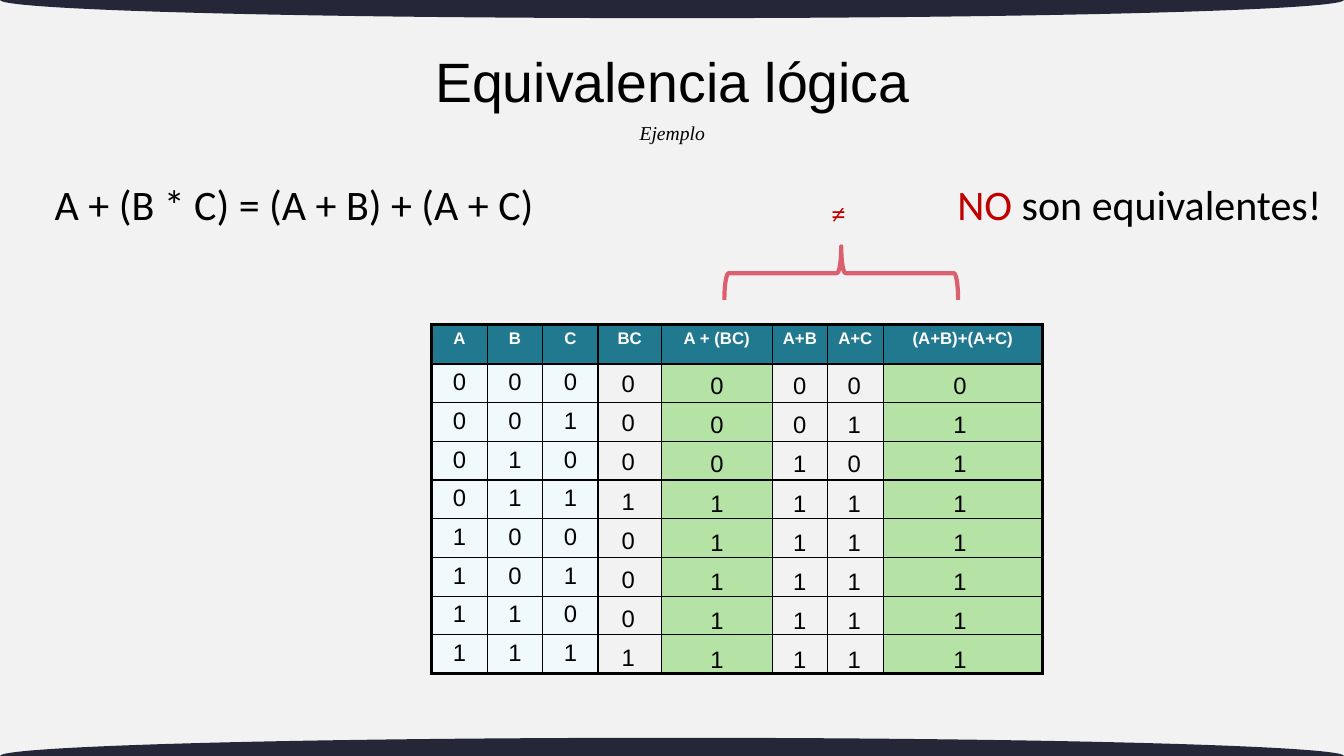
"""Build the slide on logical equivalence with its truth table."""
import itertools
from dataclasses import dataclass

import lxml.etree
import pptx
import pptx.dml.color
import pptx.enum.shapes
import pptx.enum.text
import pptx.oxml.ns
import pptx.util

Pt = pptx.util.Pt
ALIGN = pptx.enum.text.PP_ALIGN
ANCHOR = pptx.enum.text.MSO_ANCHOR
SHAPE = pptx.enum.shapes.MSO_SHAPE
qn = pptx.oxml.ns.qn


@dataclass
class Theme:
    paper: str = "F2F2F2"
    band: str = "252738"
    ink: str = "000000"
    white: str = "FFFFFF"
    header: str = "21798F"
    inputs: str = "F0FAFC"
    result: str = "B5E3A5"
    brace: str = "DC5F6F"
    alert: str = "C00000"
    sans: str = "Arial"
    body: str = "Calibri"
    serif: str = "Times New Roman"
    title: float = 39.6
    formula: float = 30
    symbol: float = 18
    digit: float = 17
    subtitle: float = 14
    label: float = 12
    thin: float = 1
    thick: float = 2.25


def rgb(color):
    return pptx.dml.color.RGBColor.from_string(color)


class Deck:
    def __init__(self, theme):
        self.theme = theme
        self.prs = pptx.Presentation()
        self.prs.slide_width, self.prs.slide_height = Pt(960), Pt(540)
        self.s = self.prs.slides.add_slide(self.prs.slide_layouts[6])
        fill = self.s.background.fill
        fill.solid()
        fill.fore_color.rgb = rgb(theme.paper)

    def shape(self, kind, box, fill=None, line=None, width=0, rotation=0):
        sp = self.s.shapes.add_shape(kind, *map(Pt, box))
        sp.shadow.inherit = False
        sp.rotation = rotation
        if fill:
            sp.fill.solid()
            sp.fill.fore_color.rgb = rgb(fill)
        else:
            sp.fill.background()
        if line:
            sp.line.color.rgb = rgb(line)
            sp.line.width = Pt(width)
        else:
            sp.line.fill.background()
        return sp

    def run(self, p, text, font, size, color, **style):
        r = p.add_run()
        r.text = text
        r.font.color.rgb = rgb(color)
        for name, value in dict(name=font, size=Pt(size), **style).items():
            setattr(r.font, name, value)

    def text(self, box, runs, font, size, pad=3.6, anchor=ANCHOR.TOP,
             spacing=None, **style):
        tf = self.s.shapes.add_textbox(*map(Pt, box)).text_frame
        frame = dict(word_wrap=True, vertical_anchor=anchor,
                     margin_top=Pt(pad), margin_bottom=Pt(pad))
        for name, value in frame.items():
            setattr(tf, name, value)
        p = tf.paragraphs[0]
        p.alignment, p.line_spacing = ALIGN.CENTER, spacing
        for text, color in runs:
            self.run(p, text, font, size, color, **style)

    def digits(self, left, top, values):
        box = map(Pt, (left, top, 23, 214.6))
        tf = self.s.shapes.add_textbox(*box).text_frame
        tf.word_wrap = True
        for i, value in enumerate(values):
            p = tf.add_paragraph() if i else tf.paragraphs[0]
            if i:
                p.space_before = Pt(7.5)
            self.run(p, str(value), self.theme.sans, self.theme.digit, self.theme.ink)

    def border(self, cell, side, width):
        ln = lxml.etree.SubElement(cell._tc.get_or_add_tcPr(), qn(f"a:ln{side}"),
                                   w=str(Pt(width)))
        fill = lxml.etree.SubElement(ln, qn("a:solidFill"))
        lxml.etree.SubElement(fill, qn("a:srgbClr"), val=self.theme.ink)

    def table(self, left, top, widths, heights, rows, fills):
        t = self.theme
        frame = self.s.shapes.add_table(len(rows), len(widths), Pt(left), Pt(top),
                                        Pt(sum(widths)), Pt(sum(heights)))
        table = frame.table
        for column, width in zip(table.columns, widths):
            column.width = Pt(width)
        for row, height in zip(table.rows, heights):
            row.height = Pt(height)
        for (i, row), (j, fill) in itertools.product(enumerate(rows), enumerate(fills)):
            cell = table.cell(i, j)
            edges = dict(L=j == 0, R=j == len(fills) - 1, T=i == 0, B=i == len(rows) - 1)
            for side, outer in edges.items():
                self.border(cell, side, t.thick if outer else t.thin)
            fill = fill if i else t.header
            if fill:
                cell.fill.solid()
                cell.fill.fore_color.rgb = rgb(fill)
            else:
                cell.fill.background()
            p = cell.text_frame.paragraphs[0]
            p.alignment = ALIGN.CENTER
            if row[j] == "":
                lxml.etree.SubElement(p._p, qn("a:endParaRPr"), sz=str(t.label * 100))
            else:
                self.run(p, str(row[j]), t.sans, t.digit if i else t.label,
                         t.ink if i else t.white, bold=not i)


def main():
    t = Theme()
    deck = Deck(t)
    for top in (-13, 527):
        deck.shape(SHAPE.OVAL, (0, top, 960, 26), fill=t.band)
    deck.text((316.8, 82.8, 326.9, 24.5), [("Ejemplo", t.ink)], t.serif, t.subtitle,
              italic=True)
    deck.text((247, 26.6, 466.6, 67.7), [("Equivalencia lógica", t.ink)], t.sans,
              t.title, anchor=ANCHOR.MIDDLE, spacing=0.9)

    inputs = list(itertools.product((0, 1), repeat=3))
    header = ["A", "B", "C", "BC", "A + (BC)", "A+B", "A+C", "(A+B)+(A+C)"]
    rows = [header] + [[*abc, *[""] * 5] for abc in inputs]
    widths = [39.6] * 3 + [45.2, 79.2, 39.6, 39.6, 113.8]
    heights = [28.4] + [27.6] * 8
    fills = [t.inputs] * 3 + [None, t.result, None, None, t.result]
    deck.table(308.4, 231.6, widths, heights, rows, fills)

    columns = [
        (437, 260, [b & c for a, b, c in inputs]),
        (500.4, 261.4, [a | b & c for a, b, c in inputs]),
        (559.4, 261.4, [a | b for a, b, c in inputs]),
        (598.3, 261.4, [a | c for a, b, c in inputs]),
        (673.9, 261.4, [a | b | c for a, b, c in inputs]),
    ]
    for column in columns:
        deck.digits(*column)

    deck.text((28.8, 123.8, 362.9, 54.7), [("A + (B * C) = (A + B) + (A + C)", t.ink)],
              t.body, t.formula)
    brace = deck.shape(SHAPE.RIGHT_BRACE, (581.8, 111.6, 38.2, 167), line=t.brace,
                       width=3, rotation=270)
    brace.adjustments[0] = 0.08
    deck.text((570.2, 134.6, 57.6, 33.8), [("≠", t.alert)], t.serif, t.symbol,
              pad=7.2, bold=True)
    deck.text((673.9, 123.8, 280.1, 54.7),
              [("NO", t.alert), (" son equivalentes!", t.ink)], t.body, t.formula)
    deck.prs.save("out.pptx")


if __name__ == "__main__":
    main()
